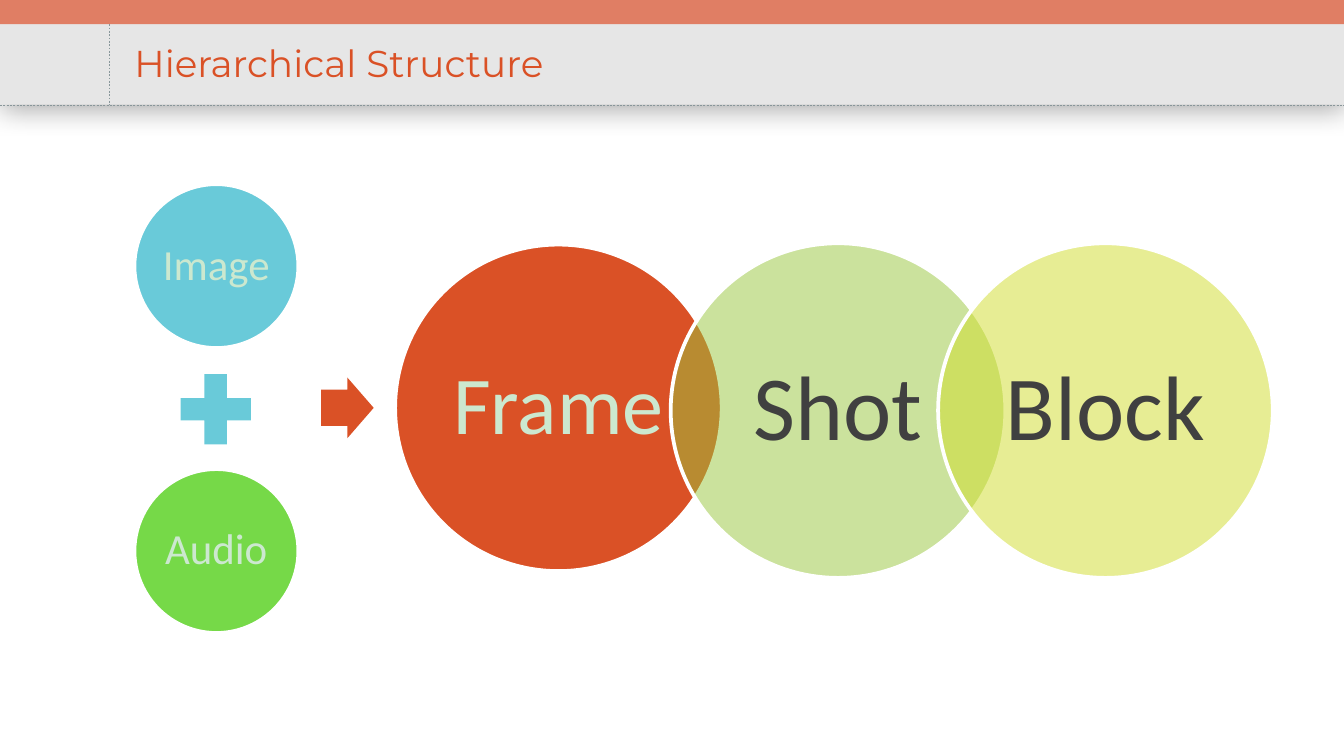
from lxml import etree
from pptx import Presentation
from pptx.dml.color import RGBColor
from pptx.enum.dml import MSO_LINE
from pptx.enum.shapes import MSO_CONNECTOR, MSO_SHAPE
from pptx.enum.text import MSO_ANCHOR, PP_ALIGN
from pptx.oxml.ns import qn
from pptx.util import Inches, Pt

ORANGE = RGBColor(0xDA, 0x51, 0x26)
LIGHT_ORANGE = RGBColor(0xE0, 0x7E, 0x64)
BAND_GREY = RGBColor(0xE6, 0xE6, 0xE6)
RULE_GREY = RGBColor(0x88, 0x96, 0x9A)
DARK_GREY = RGBColor(0x40, 0x40, 0x40)
PALE_GREEN = RGBColor(0xCC, 0xE8, 0xCF)
WHITE = RGBColor(0xFF, 0xFF, 0xFF)
CYAN = RGBColor(0x69, 0xCA, 0xD9)
GREEN = RGBColor(0x76, 0xD9, 0x48)
LEAF = RGBColor(0x98, 0xC6, 0x3D)
LIME = RGBColor(0xD0, 0xDD, 0x2A)

RECTANGLE = MSO_SHAPE.RECTANGLE
OVAL = MSO_SHAPE.OVAL
PLUS = MSO_SHAPE.MATH_PLUS
ARROW = MSO_SHAPE.RIGHT_ARROW
STRAIGHT = MSO_CONNECTOR.STRAIGHT
DASH = MSO_LINE.DASH
TOP = MSO_ANCHOR.TOP
MIDDLE = MSO_ANCHOR.MIDDLE
LEFT = PP_ALIGN.LEFT
CENTER = PP_ALIGN.CENTER

deck = Presentation()
deck.slide_width = Inches(10)
deck.slide_height = Inches(10) * 9 // 16
slide = deck.slides.add_slide(deck.slide_layouts[5])
shapes = slide.shapes


def add_filled(kind, left, top, width, height, color):
    """Add a preset shape with a solid fill, no line and no shadow."""
    shape = shapes.add_shape(
        kind, Inches(left), Inches(top), Inches(width), Inches(height)
    )
    shape.fill.solid()
    shape.fill.fore_color.rgb = color
    shape.line.fill.background()
    shape.shadow.inherit = False
    return shape


# Header band with its soft shadow, top stripe and dashed rules
band = add_filled(RECTANGLE, 0, 0.18, 10, 0.6, BAND_GREY)
effects = band._element.spPr.find(qn("a:effectLst"))
shadow = etree.SubElement(
    effects, qn("a:outerShdw"),
    blurRad=str(Pt(15.2)), dist=str(Pt(2)), dir="5400000", rotWithShape="0",
)
shadow_color = etree.SubElement(shadow, qn("a:srgbClr"), val="000000")
etree.SubElement(shadow_color, qn("a:alpha"), val="34000")
add_filled(RECTANGLE, 0, 0, 10, 0.18, LIGHT_ORANGE)

for x1, y1, x2, y2 in [(0, 0.78, 10, 0.78), (0.81, 0.18, 0.81, 0.78)]:
    rule = shapes.add_connector(
        STRAIGHT, Inches(x1), Inches(y1), Inches(x2), Inches(y2)
    )
    rule.line.color.rgb = RULE_GREY
    rule.line.width = Pt(0.25)
    rule.line.dash_style = DASH
    etree.SubElement(rule._element.spPr, qn("a:effectLst"))

# Title, brought in front of the band
title = shapes.title
shapes._spTree.append(title._element)
title.left, title.top = Inches(0.9), Inches(0.25)
title.width, title.height = Inches(8.11), Inches(0.47)
title.text_frame.text = "Hierarchical Structure"
title.text_frame.vertical_anchor = TOP
para = title.text_frame.paragraphs[0]
para.alignment = LEFT
para.font.name = "Montserrat"
para.font.size = Pt(20)
para.font.color.rgb = ORANGE

# Operators between the circles
add_filled(PLUS, 1.25, 2.69, 0.71, 0.71, CYAN)
arrow = add_filled(ARROW, 2.39, 2.81, 0.39, 0.45, ORANGE)
arrow.adjustments[0] = 0.6
arrow.adjustments[1] = 0.5

# Circles: label, left, top, diameter, fill, opacity %, text size, text colour
circles = [
    ("Image", 1, 1.37, 1.22, CYAN, 100, 23, PALE_GREEN),
    ("Audio", 1, 3.49, 1.22, GREEN, 100, 23, PALE_GREEN),
    ("Frame", 2.94, 1.82, 2.43, ORANGE, 100, 44, PALE_GREEN),
    ("Shot", 4.99, 1.81, 2.49, LEAF, 50, 49, DARK_GREY),
    ("Block", 6.98, 1.81, 2.49, LIME, 50, 49, DARK_GREY),
]
for label, left, top, diameter, fill, opacity, size, text_color in circles:
    circle = add_filled(OVAL, left, top, diameter, diameter, fill)
    circle.line.color.rgb = WHITE
    circle.line.width = Pt(2)
    if opacity < 100:
        fill_color = circle._element.spPr.find(qn("a:solidFill"))[0]
        etree.SubElement(fill_color, qn("a:alpha"), val=str(opacity * 1000))
    frame = circle.text_frame
    frame.word_wrap = False
    frame.vertical_anchor = MIDDLE
    frame.margin_left = frame.margin_right = Inches(0.03)
    frame.margin_top = frame.margin_bottom = Inches(0.03)
    frame.text = label
    para = frame.paragraphs[0]
    para.alignment = CENTER
    para.line_spacing = 0.9
    para.font.name = "Calibri"
    para.font.size = Pt(size)
    para.font.color.rgb = text_color

deck.save("out.pptx")
